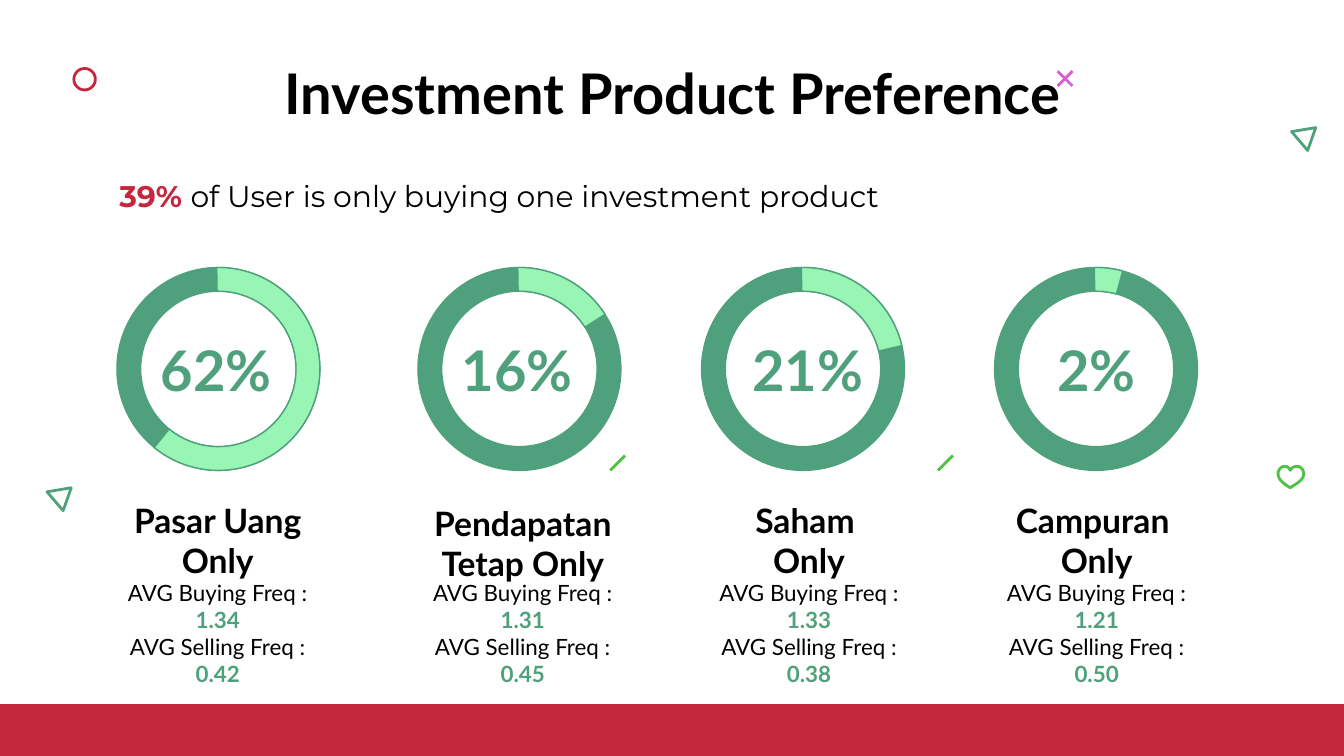
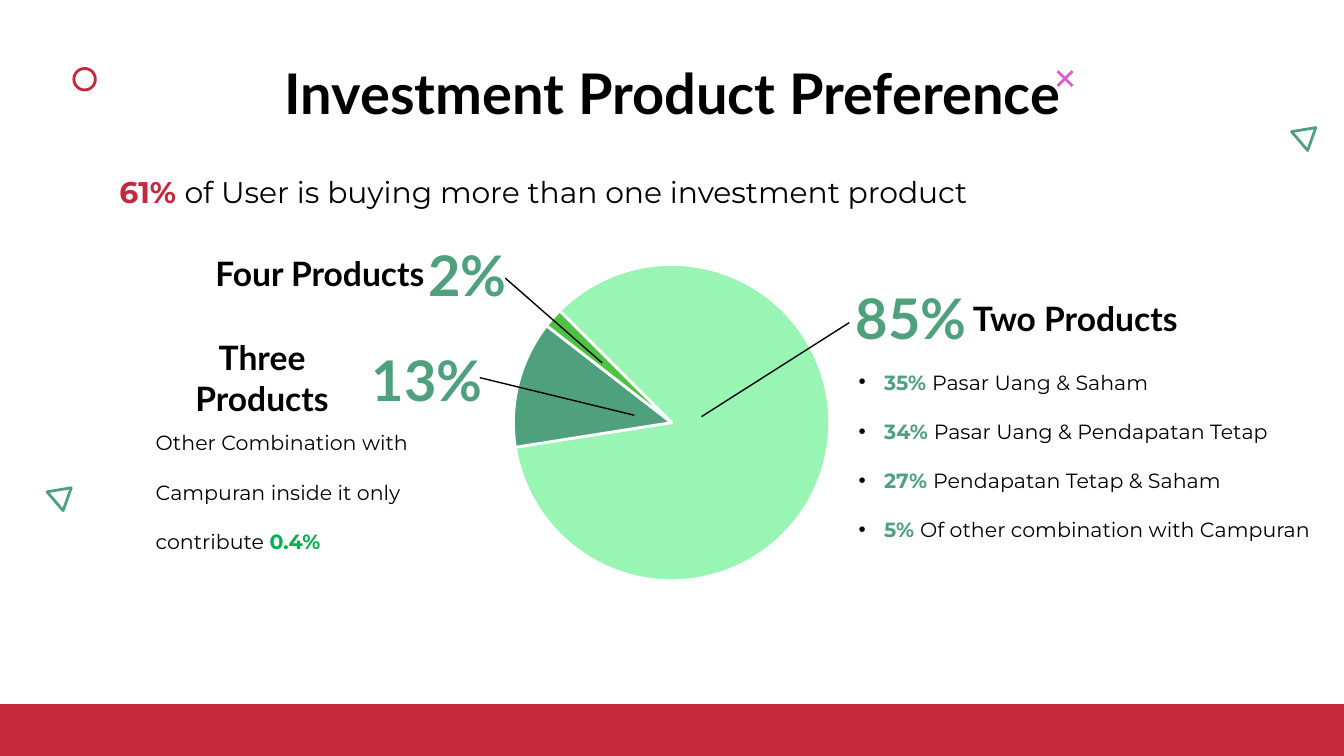
from lxml import etree
from pptx import Presentation
from pptx.chart.data import CategoryChartData
from pptx.dml.color import RGBColor
from pptx.enum.chart import XL_CHART_TYPE
from pptx.enum.shapes import MSO_CONNECTOR, MSO_SHAPE
from pptx.enum.text import MSO_ANCHOR, PP_ALIGN
from pptx.oxml.ns import qn
from pptx.util import Inches, Pt

RECTANGLE, OVAL = MSO_SHAPE.RECTANGLE, MSO_SHAPE.OVAL
DONUT, BLOCK_ARC = MSO_SHAPE.DONUT, MSO_SHAPE.BLOCK_ARC
STRAIGHT = MSO_CONNECTOR.STRAIGHT
PIE = XL_CHART_TYPE.PIE
LEFT, CENTER = PP_ALIGN.LEFT, PP_ALIGN.CENTER
MIDDLE = MSO_ANCHOR.MIDDLE

PAGE_WIDTH = 10
PAGE_HEIGHT = PAGE_WIDTH * 9 / 16

WHITE, BLACK, RED = "FFFFFF", "000000", "C5273D"
TEAL, MINT, LIME = "4FA07C", "98F5B3", "50C243"
PINK, BRIGHT_GREEN = "D95FCC", "00B050"
HEADING_FONT, BODY_FONT = "Lato", "Montserrat"

RING_TOP, RING_SIZE, RING_THICKNESS = 1.99, 1.51, 0.117
ARC_START = 269.06
ARC_UNITS_PER_DEGREE = 0.6
NUMBER_WIDTH, LABEL_WIDTH, LABEL_HEIGHT = 1.16, 1.88, 0.58
FREQUENCY_WIDTH = 1.86

PRODUCTS = [
    ("62%", 129.26, 0.87, 1.03, 0.68, 3.73, "Pasar Uang Only", "1.34", "0.42"),
    ("16%", 327.51, 3.11, 3.27, 2.95, 3.75, "Pendapatan Tetap Only", "1.31", "0.45"),
    ("21%", 346.73, 5.22, 5.43, 5.08, 3.73, "Saham \nOnly", "1.33", "0.38"),
    ("2%", 285.25, 7.40, 7.58, 7.22, 3.73, "Campuran \nOnly", "1.21", "0.50"),
]
PRODUCT_COUNTS = [
    ("85%", (6.03, 2.03), "Two Products", (7.06, 2.08), (5.22, 3.1), (6.32, 2.4)),
    ("13%", (2.43, 2.49), "Three Products", (1.01, 2.52), (3.57, 2.81), (4.72, 3.09)),
    ("2%", (2.73, 1.71), "Four Products", (1.44, 1.74), (3.76, 2.07), (4.48, 2.7)),
]
PAIRS = [
    ("35% ", "Pasar Uang & Saham"),
    ("34% ", "Pasar Uang & Pendapatan Tetap"),
    ("27% ", "Pendapatan Tetap & Saham"),
    ("5% ", "Of other combination with Campuran"),
]
HEART_CURVES = [
    [(9.57, 3.61), (9.51, 3.57), (9.51, 3.54), (9.51, 3.52)],
    [(9.51, 3.52), (9.51, 3.50), (9.53, 3.47), (9.56, 3.47)],
    [(9.56, 3.47), (9.58, 3.47), (9.59, 3.48), (9.60, 3.50)],
    [(9.60, 3.50), (9.61, 3.48), (9.63, 3.47), (9.65, 3.47)],
    [(9.65, 3.47), (9.68, 3.47), (9.70, 3.50), (9.70, 3.52)],
    [(9.70, 3.52), (9.70, 3.54), (9.70, 3.57), (9.63, 3.61)],
]


def color(hex_string):
    return RGBColor.from_string(hex_string)


def inches(values):
    return [Inches(value) for value in values]


def set_line(shape, hex_string, width):
    shape.line.color.rgb = color(hex_string)
    shape.line.width = Pt(width)


def style_shape(shape, fill=None, line=None, width=0.75):
    shape.shadow.inherit = False
    if fill:
        shape.fill.solid()
        shape.fill.fore_color.rgb = color(fill)
    else:
        shape.fill.background()
    if line:
        set_line(shape, line, width)
    else:
        shape.line.fill.background()


def add_preset(page, preset, place, fill=None, line=None, width=0.75, adjustments=()):
    shape = page.shapes.add_shape(preset, *inches(place))
    for index, value in enumerate(adjustments):
        shape.adjustments[index] = value
    style_shape(shape, fill, line, width)


def add_outline(page, points, line):
    corners = [inches(point) for point in points]
    builder = page.shapes.build_freeform(*corners[0], scale=1.0)
    builder.add_line_segments(corners[1:], close=True)
    style_shape(builder.convert_to_shape(), line=line, width=1.5)


def add_line(page, start, end, hex_string, width):
    line = page.shapes.add_connector(STRAIGHT, *inches(start), *inches(end))
    set_line(line, hex_string, width)
    etree.SubElement(line._element.spPr, qn("a:effectLst"))


def curve_points(start, first, second, end, steps=6):
    for step in range(1, steps + 1):
        t = step / steps
        weights = ((1 - t) ** 3, 3 * t * (1 - t) ** 2, 3 * t ** 2 * (1 - t), t ** 3)
        yield tuple(
            sum(weight * value for weight, value in zip(weights, axis))
            for axis in zip(start, first, second, end)
        )


def add_span(para, text, size, font, hex_string, bold=False):
    for index, part in enumerate(text.split("\n")):
        if index:
            para.add_line_break()
        span = para.add_run()
        span.text = part
        span.font.size = Pt(size)
        span.font.name = font
        span.font.bold = bold
        span.font.color.rgb = color(hex_string)


def add_bullet(para):
    properties = para._p.get_or_add_pPr()
    properties.set("marL", str(Inches(0.19)))
    properties.set("indent", str(Inches(-0.19)))
    bullet_color = etree.SubElement(properties, qn("a:buClr"))
    etree.SubElement(bullet_color, qn("a:srgbClr"), val=BLACK)
    etree.SubElement(properties, qn("a:buFont"), typeface="Arial")
    etree.SubElement(properties, qn("a:buChar"), char="•")


def add_text(page, place, size, font, paragraphs, align=CENTER, spacing=None, bullets=False):
    frame = page.shapes.add_textbox(*inches(place)).text_frame
    frame.word_wrap = True
    frame.vertical_anchor = MIDDLE
    frame.margin_left = frame.margin_right = Inches(0.1)
    frame.margin_top = frame.margin_bottom = Inches(0.1)
    for index, spans in enumerate(paragraphs):
        para = frame.add_paragraph() if index else frame.paragraphs[0]
        para.alignment = align
        if spacing:
            para.line_spacing = spacing
        if bullets:
            add_bullet(para)
        for text, *look in spans:
            add_span(para, text, size, font, *look)


def add_number(page, place, text):
    add_text(page, place, 30, HEADING_FONT, [[(text, TEAL, True)]])


def add_label(page, left, top, text):
    place = (left, top, LABEL_WIDTH, LABEL_HEIGHT)
    add_text(page, place, 18, HEADING_FONT, [[(text, BLACK, True)]])


def add_page(deck, share, statement, statement_top):
    page = deck.slides.add_slide(deck.slide_layouts[6])
    page.background.fill.solid()
    page.background.fill.fore_color.rgb = color(WHITE)
    add_preset(page, RECTANGLE, (0, 5.24, PAGE_WIDTH, PAGE_HEIGHT - 5.24), RED)
    for left, top in ((0.35, 3.63), (9.61, 0.95)):
        corners = [(left + 0.18, top), (left, top + 0.03), (left + 0.12, top + 0.17)]
        add_outline(page, corners, TEAL)
    add_line(page, (7.98, 0.53), (7.87, 0.64), PINK, 1.5)
    add_line(page, (7.87, 0.53), (7.98, 0.64), PINK, 1.5)
    add_preset(page, OVAL, (0.55, 0.51, 0.16, 0.16), line=RED, width=1.5)
    title = [[("Investment Product Preference", BLACK, True)]]
    add_text(page, (0.79, 0.37, 8.43, 0.63), 30, HEADING_FONT, title)
    subtitle = [[(share, RED, True), (statement, BLACK)]]
    add_text(page, (0.79, statement_top, 7.44, 0.53), 16, BODY_FONT, subtitle, LEFT)
    return page


def add_product(page, share, arc_end, ring_left, number_left, label_left, label_top,
                name, buying, selling):
    ring = (ring_left, RING_TOP, RING_SIZE, RING_SIZE)
    add_preset(page, DONUT, ring, TEAL, TEAL, adjustments=[RING_THICKNESS])
    angles = [angle * ARC_UNITS_PER_DEGREE for angle in (ARC_START, arc_end)]
    add_preset(page, BLOCK_ARC, ring, MINT, TEAL, adjustments=[*angles, RING_THICKNESS])
    add_number(page, (number_left, 2.43, NUMBER_WIDTH, 0.63), share)
    add_label(page, label_left, label_top, name)
    frequencies = [
        [(f"AVG {action} Freq : ", BLACK), (value, TEAL, True)]
        for action, value in (("Buying", buying), ("Selling", selling))
    ]
    place = (label_left + 0.01, 4.42, FREQUENCY_WIDTH, LABEL_HEIGHT)
    add_text(page, place, 12, HEADING_FONT, frequencies)


def add_pie(page, place, values, hex_strings):
    data = CategoryChartData()
    data.categories = [str(index + 1) for index in range(len(values))]
    data.add_series("Series 1", values)
    chart = page.shapes.add_chart(PIE, *inches(place), data).chart
    chart.has_legend = False
    chart.has_title = False
    chart.font.name = "Arial"
    chart.font.size = Pt(10)
    chart.font.color.rgb = color(BLACK)
    plot = chart.plots[0]
    plot.vary_by_categories = False
    for index, hex_string in enumerate(hex_strings):
        slice_format = plot.series[0].points[index].format
        slice_format.fill.solid()
        slice_format.fill.fore_color.rgb = color(hex_string)
        set_line(slice_format, WHITE, 1.5)

    area = chart._chartSpace.find(".//" + qn("c:plotArea"))
    pie = area.find(qn("c:pieChart"))
    for old_angle in pie.findall(qn("c:firstSliceAng")):
        pie.remove(old_angle)
    etree.SubElement(pie, qn("c:firstSliceAng"), val="315")
    for old_layout in area.findall(qn("c:layout")):
        area.remove(old_layout)
    layout = etree.Element(qn("c:layout"))
    area.insert(0, layout)
    manual = etree.SubElement(layout, qn("c:manualLayout"))
    settings = [("layoutTarget", "inner"), ("xMode", "edge"), ("yMode", "edge"),
                ("x", "0.223"), ("y", "0.052"), ("w", "0.555"), ("h", "0.885")]
    for name, value in settings:
        etree.SubElement(manual, qn("c:" + name), val=value)


def build_single_product_page(deck):
    page = add_page(deck, "39% ", "of User is only buying one investment product", 1.19)
    for left in (4.54, 6.98):
        add_line(page, (left + 0.11, 3.39), (left, 3.5), LIME, 1.5)
    heart = [(9.6, 3.63), (9.57, 3.61)]
    for curve in HEART_CURVES:
        heart.extend(curve_points(*curve))
    add_outline(page, heart, LIME)
    for product in PRODUCTS:
        add_product(page, *product)


def build_several_products_page(deck):
    page = add_page(deck, "61% ", "of User is buying more than one investment product", 1.16)
    add_pie(page, (2.87, 1.83, 4.25, 2.66), (85, 13, 2), (MINT, TEAL, LIME))
    for share, number_at, name, label_at, start, end in PRODUCT_COUNTS:
        add_number(page, (*number_at, 1.5, 0.66), share)
        add_label(page, *label_at, name)
        add_line(page, start, end, BLACK, 0.75)
    remark = [
        [("Other Combination with", BLACK)],
        [("Campuran inside it only", BLACK)],
        [("contribute ", BLACK), ("0.4%", BRIGHT_GREEN, True)],
    ]
    add_text(page, (1.06, 2.65, 3.02, 1.84), 11, BODY_FONT, remark, LEFT, 2.0)
    pairs = [[(share, TEAL, True), (names, BLACK)] for share, names in PAIRS]
    add_text(page, (6.29, 2.38, 3.57, 1.84), 11, BODY_FONT, pairs, LEFT, 2.0, True)


def main():
    deck = Presentation()
    deck.slide_width, deck.slide_height = inches((PAGE_WIDTH, PAGE_HEIGHT))
    build_single_product_page(deck)
    build_several_products_page(deck)
    deck.save("out.pptx")


if __name__ == "__main__":
    main()
